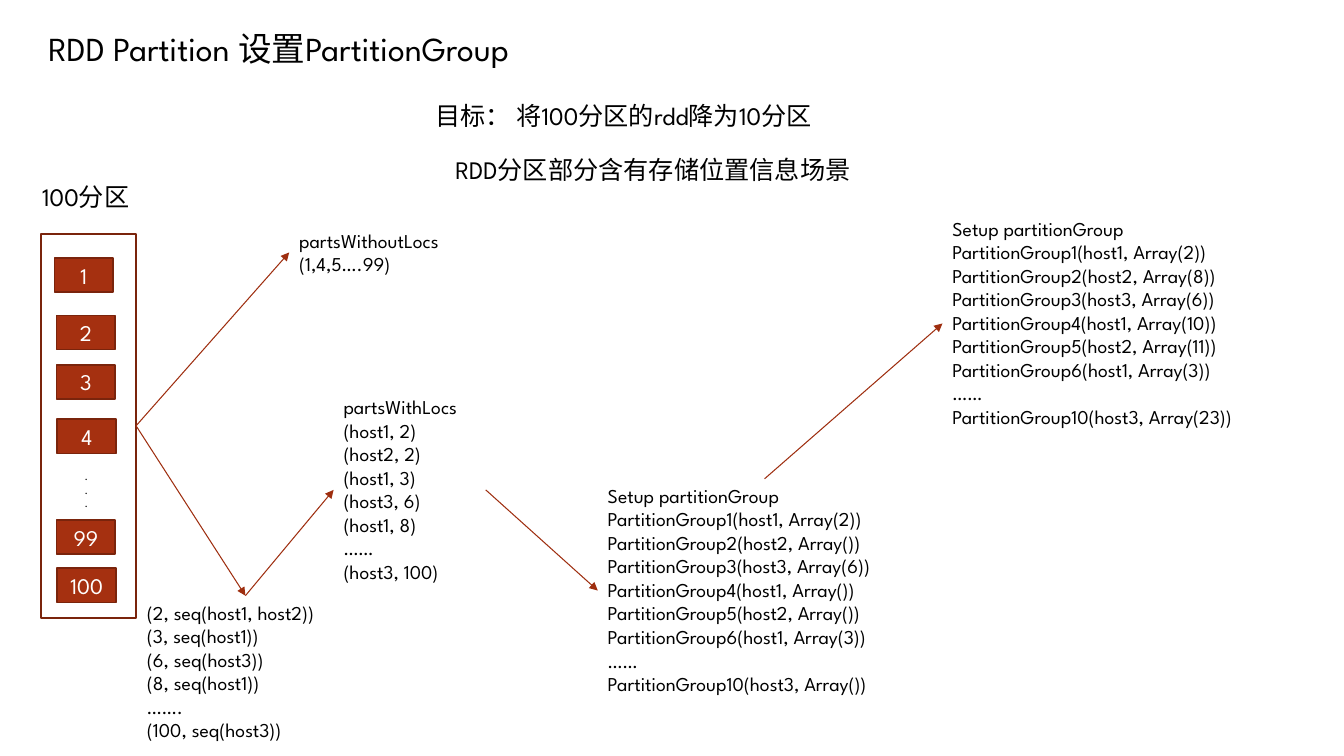
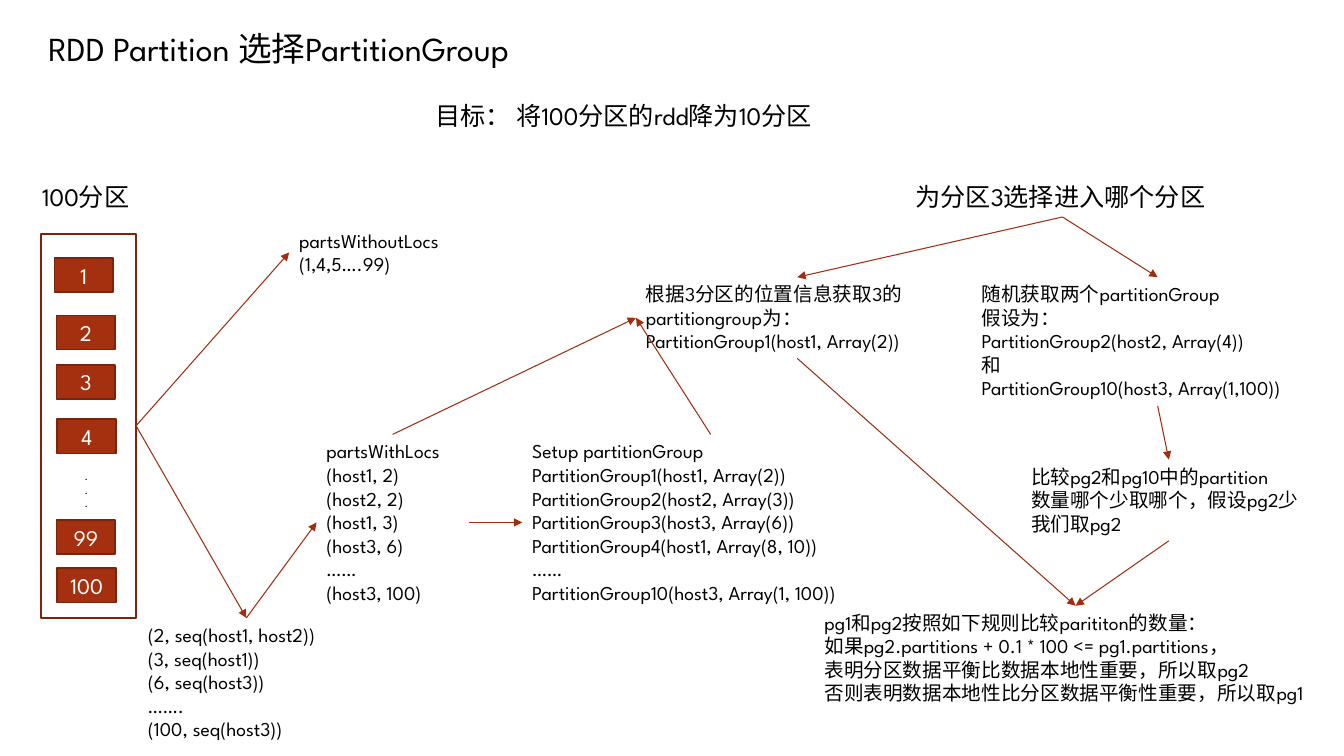
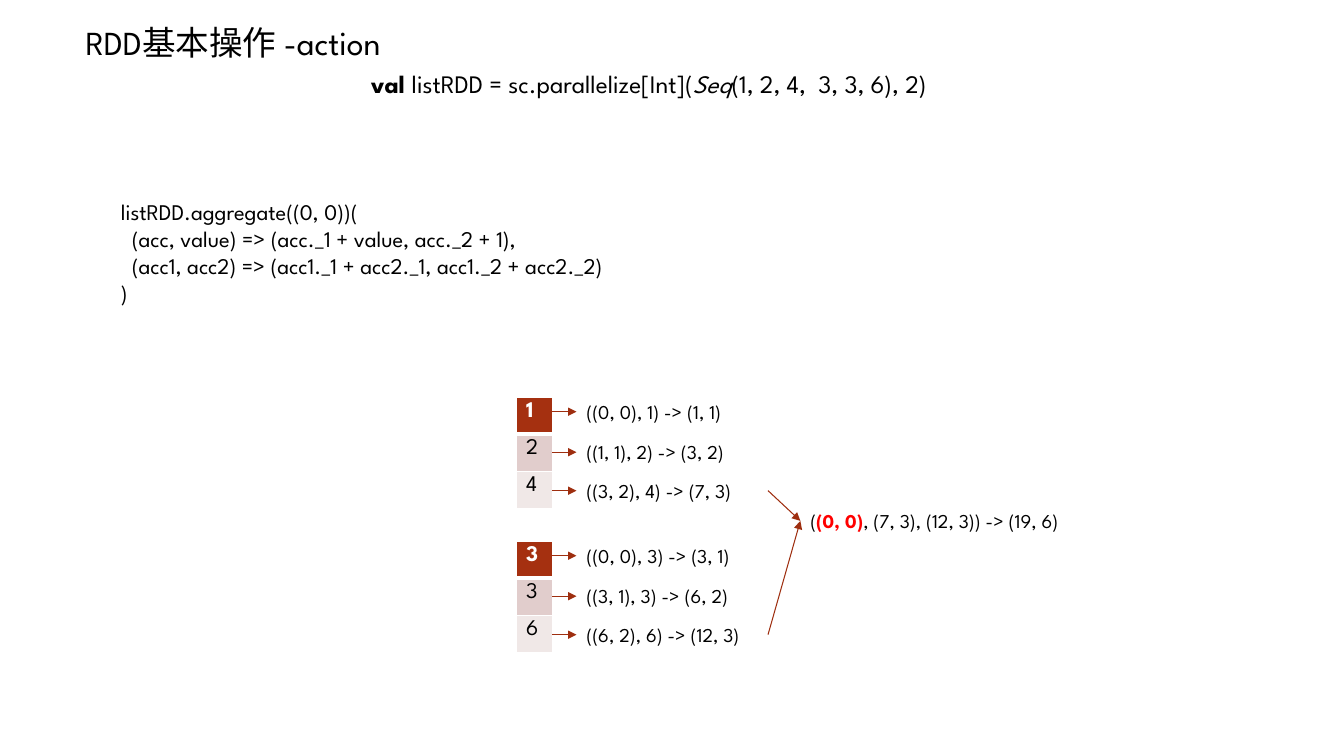
from lxml import etree
from pptx import Presentation
from pptx.dml.color import RGBColor
from pptx.enum.shapes import MSO_CONNECTOR, MSO_SHAPE
from pptx.enum.text import MSO_ANCHOR, PP_ALIGN
from pptx.oxml import parse_xml
from pptx.oxml.ns import nsdecls, qn
from pptx.util import Pt

RECT = MSO_SHAPE.RECTANGLE
LINE = MSO_CONNECTOR.STRAIGHT
MID, CENTER = MSO_ANCHOR.MIDDLE, PP_ALIGN.CENTER
TOP, LEFT, BOTTOM, RIGHT = range(4)
FONT = "League Spartan"
INK = {"text": "000000", "white": "FFFFFF", "fill": "A53010", "edge": "7A240C",
       "arrow": "9E2E0F", "hot": "FF0000", "mid": "E1CDCC", "pale": "F0E8E7"}


def color(name):
    return RGBColor.from_string(INK[name])


def write(frame, text, size=14, ink="text", bold=False, align=None):
    """Fill a frame; text is a string of lines or a list of (text, format) runs."""
    lines = text.split("\n") if isinstance(text, str) else [text]
    for i, line in enumerate(lines):
        para = frame.add_paragraph() if i else frame.paragraphs[0]
        para.alignment = align
        for part, form in [(line, {})] if isinstance(line, str) else line:
            run = para.add_run()
            run.text = part
            font = run.font
            font.name, font.size = FONT, Pt(size)
            font.bold = form.get("bold", bold)
            font.italic = form.get("italic", False)
            font.color.rgb = color(form.get("ink", ink))


def label(slide, x, y, w, text, size=14):
    """Text box whose height follows from its lines."""
    count = text.count("\n") + 1 if isinstance(text, str) else 1
    high = round(size * 1.21 * count + 7.2, 2)
    box = slide.shapes.add_textbox(Pt(x), Pt(y), Pt(w), Pt(high))
    box.text_frame.word_wrap = True
    write(box.text_frame, text, size)
    return box


def rect(slide, x, y, w, h, fill=None):
    box = slide.shapes.add_shape(RECT, Pt(x), Pt(y), Pt(w), Pt(h))
    box.shadow.inherit = False
    if fill:
        box.fill.solid()
        box.fill.fore_color.rgb = color(fill)
    else:
        box.fill.background()
    box.line.color.rgb = color("edge")
    box.line.width = Pt(1.25)
    return box


def arrow(slide, start, end):
    """Arrow between (shape, side) ends; a start may also be a point (x, y)."""
    free = isinstance(start[0], (int, float))
    x, y = (Pt(start[0]), Pt(start[1])) if free else (0, 0)
    link = slide.shapes.add_connector(LINE, x, y, x, y)
    if not free:
        link.begin_connect(*start)
    link.end_connect(*end)
    link.line.color.rgb = color("arrow")
    link.line.width = Pt(0.75)
    etree.SubElement(link.line._get_or_add_ln(), qn("a:tailEnd"), type="triangle")
    etree.SubElement(link._element.spPr, qn("a:effectLst"))


def stack(slide, x, y):
    """Frame holding the numbered source partitions."""
    frame = rect(slide, x, y, 67.7, 274.3)
    cells = [("1", 9.4, 17.3), ("2", 10.8, 58.3), ("3", 10.8, 93.6),
             ("4", 11.5, 132.5), ("99", 10.8, 204.5), ("100", 11.5, 239)]
    for name, dx, dy in cells:
        cell = rect(slide, x + dx, y + dy, 42, 24.5, "fill")
        cell.text_frame.vertical_anchor = MID
        write(cell.text_frame, name, 16, "white", align=CENTER)
    label(slide, x + 23.8, y + 165, 18, ".\n.\n.", 8)
    label(slide, x - 6.5, y - 41, 81.4, "100分区", 18)
    return frame


def flow(slide, title, seq, parts, setup):
    """Shared start of the partition slides; seq, parts, setup are label arguments."""
    label(slide, 27.4, 16.6, 392.4, title, 24)
    label(slide, 303.8, 68.4, 300.2, "目标： 将100分区的rdd降为10分区", 18)
    frame = stack(slide, 29.5, 167)
    bare = label(slide, 206.6, 159.8, 131, "partsWithoutLocs\n(1,4,5….99)")
    seq, parts, setup = [label(slide, *args) for args in (seq, parts, setup)]
    arrow(slide, (frame, RIGHT), (bare, LEFT))
    arrow(slide, (frame, RIGHT), (seq, TOP))
    arrow(slide, (seq, TOP), (parts, LEFT))
    arrow(slide, (parts, RIGHT), (setup, LEFT))
    return parts, setup


def groups(*items):
    """Listing of partition groups, the last one after an ellipsis."""
    rows = [f"PartitionGroup{n}(host{host}, Array({vals}))" for n, host, vals in items]
    return "\n".join(["Setup partitionGroup", *rows[:-1], "……", rows[-1]])


def setup_slide(slide):
    _, setup = flow(
        slide, "RDD Partition 设置PartitionGroup",
        (97.9, 425.5, 154.8, "(2, seq(host1, host2))\n(3, seq(host1))\n(6, seq(host3))\n"
         "(8, seq(host1))\n…….\n(100, seq(host3))"),
        (238.3, 278.6, 108.7, "partsWithLocs\n(host1, 2)\n(host2, 2)\n(host1, 3)\n"
         "(host3, 6)\n(host1, 8)\n……\n(host3, 100)"),
        (427, 342, 238.3, groups((1, 1, "2"), (2, 2, ""), (3, 3, "6"), (4, 1, ""),
                                 (5, 2, ""), (6, 1, "3"), (10, 3, ""))))
    label(slide, 318.2, 106.6, 306.7, "RDD分区部分含有存储位置信息场景", 18)
    full = label(slide, 673.2, 151.2, 246.2,
                 groups((1, 1, "2"), (2, 2, "8"), (3, 3, "6"), (4, 1, "10"),
                        (5, 2, "11"), (6, 1, "3"), (10, 3, "23")))
    arrow(slide, (setup, TOP), (full, LEFT))


def choice_slide(slide):
    parts, setup = flow(
        slide, "RDD Partition 选择PartitionGroup",
        (98.6, 441.4, 154.8, "(2, seq(host1, host2))\n(3, seq(host1))\n(6, seq(host3))\n"
         "…….\n(100, seq(host3))"),
        (226.1, 310.3, 108.7, "partsWithLocs\n(host1, 2)\n(host2, 2)\n(host1, 3)\n"
         "(host3, 6)\n……\n(host3, 100)"),
        (373, 310.3, 269.3, groups((1, 1, "2"), (2, 2, "3"), (3, 3, "6"),
                                   (4, 1, "8, 10"), (10, 3, "1, 100"))))
    # Decision tree
    ask = label(slide, 646.6, 126, 224.6, "为分区3选择进入哪个分区", 18)
    local = label(slide, 454.3, 198, 230.4, "根据3分区的位置信息获取3的\n"
                  "partitiongroup为：\nPartitionGroup1(host1, Array(2))")
    pair = label(slide, 694.1, 198, 265.7, "随机获取两个partitionGroup\n假设为：\n"
                 "PartitionGroup2(host2, Array(4))\n和\n"
                 "PartitionGroup10(host3, Array(1,100))")
    less = label(slide, 729.4, 328.3, 211, "比较pg2和pg10中的partition\n"
                 "数量哪个少取哪个，假设pg2少\n我们取pg2")
    rule = label(slide, 581.8, 432.7, 373, "pg1和pg2按照如下规则比较parititon的数量：\n"
                 "如果pg2.partitions + 0.1 * 100 <= pg1.partitions，\n"
                 "表明分区数据平衡比数据本地性重要，所以取pg2\n"
                 "否则表明数据本地性比分区数据平衡性重要，所以取pg1")
    for start, side, end, goal in [
            (ask, BOTTOM, local, TOP), (ask, BOTTOM, pair, TOP),
            (pair, BOTTOM, less, TOP), (local, BOTTOM, rule, TOP),
            (less, BOTTOM, rule, TOP), (parts, TOP, local, LEFT),
            (setup, TOP, local, LEFT)]:
        arrow(slide, (start, side), (end, goal))


def border(cell, side, width):
    cell._tc.get_or_add_tcPr().append(parse_xml(
        f'<a:{side} {nsdecls("a")} w="{Pt(width)}"><a:solidFill>'
        f'<a:srgbClr val="{INK["white"]}"/></a:solidFill></a:{side}>'))


def fold(slide, x, y, rows):
    """Column of values with the step each one leads to; returns the last step."""
    wide, high = 25.9, 26.4
    grid = slide.shapes.add_table(3, 1, Pt(x), Pt(y), Pt(wide), Pt(3 * high)).table
    looks = [("fill", "white", -1.7), ("mid", "text", 27.2), ("pale", "text", 54.7)]
    for i, ((value, step), (fill, ink, dy)) in enumerate(zip(rows, looks)):
        cell = grid.cell(i, 0)
        for side in ("lnL", "lnR", "lnT", "lnB"):
            thick = (i, side) in ((0, "lnB"), (1, "lnT"))
            border(cell, side, 3 if thick else 1)
        cell.fill.solid()
        cell.fill.fore_color.rgb = color(fill)
        write(cell.text_frame, value, 16, ink, bold=i == 0)
        width = 136.8 if len(step) > 20 else 129.6
        box = label(slide, x + 43.2, y + dy, width, step)
        arrow(slide, (x + wide, y + dy + 12.07), (box, LEFT))
    return box


def action_slide(slide):
    label(slide, 54, 12.2, 252.7, "RDD基本操作 -action", 24)
    label(slide, 257.8, 45.4, 468.7, [
        ("val ", {"bold": True}), ("listRDD = sc.parallelize[Int](", {}),
        ("Seq", {"italic": True}), ("(1, 2, 4,  3, 3, 6), 2)", {})], 18)
    label(slide, 79.2, 138.2, 461.5, "listRDD.aggregate((0, 0))(\n"
          "  (acc, value) => (acc._1 + value, acc._2 + 1),\n"
          "  (acc1, acc2) => (acc1._1 + acc2._1, acc1._2 + acc2._2)\n)", 16)
    # Two partitions folded, then merged
    total = label(slide, 571.7, 360, 212.4, [
        ("(", {}), ("(0, 0)", {"ink": "hot", "bold": True}),
        (", (7, 3), (12, 3)) -> (19, 6)", {})])
    runs = [[("1", "((0, 0), 1) -> (1, 1)"), ("2", "((1, 1), 2) -> (3, 2)"),
             ("4", "((3, 2), 4) -> (7, 3)")],
            [("3", "((0, 0), 3) -> (3, 1)"), ("3", "((3, 1), 3) -> (6, 2)"),
             ("6", "((6, 2), 6) -> (12, 3)")]]
    for i, rows in enumerate(runs):
        last = fold(slide, 368.6, 283.7 + i * 102.9, rows)
        arrow(slide, (last, RIGHT), (total, LEFT))


def main():
    deck = Presentation()
    deck.slide_width, deck.slide_height = Pt(960), Pt(540)
    for build in (setup_slide, choice_slide, action_slide):
        build(deck.slides.add_slide(deck.slide_layouts[6]))
    deck.save("out.pptx")


if __name__ == "__main__":
    main()
